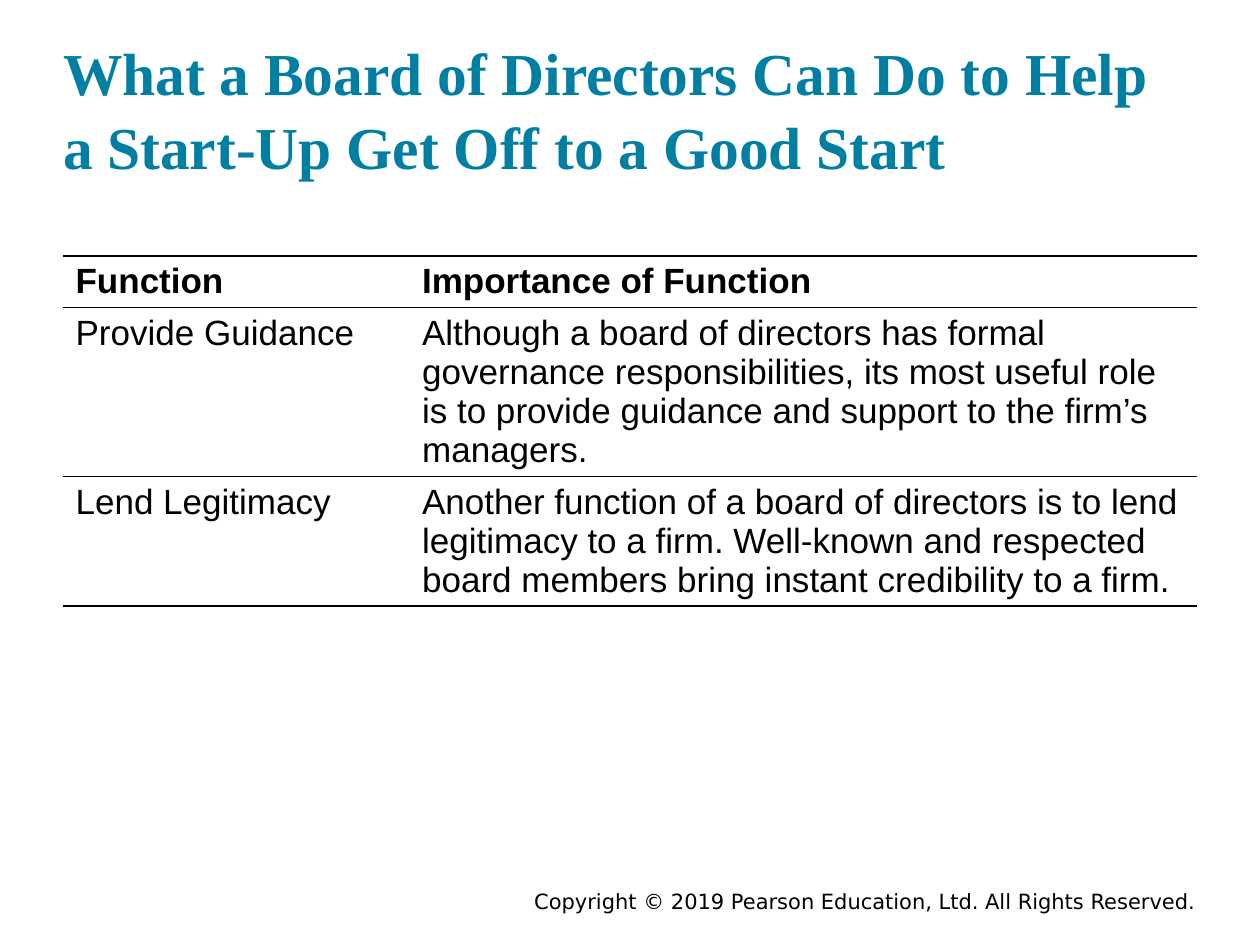
import pptx
import pptx.util
import pptx.dml.color
import pptx.enum.text
import pptx.oxml
import pptx.oxml.ns

Inches = pptx.util.Inches
COLORS = {"title": "007FA3", "text": "000000"}
NO_STYLE = "{2D5ABB26-0587-4C30-8999-92F81FD0307C}"
ROWS = [
    ("Function", "Importance of Function"),
    ("Provide Guidance",
     "Although a board of directors has formal governance responsibilities, "
     "its most useful role is to provide guidance and support to the firm’s managers."),
    ("Lend Legitimacy",
     "Another function of a board of directors is to lend legitimacy to a firm. "
     "Well-known and respected board members bring instant credibility to a firm."),
]
ROW_HEIGHTS = [0.41, 1.34, 1.03]
COLUMN_WIDTHS = [2.75, 6.25]
ROW_RULES = [("lnT", "lnB"), ("lnT",), ("lnB",)]


def style_text(frame, font_name, size, color, bold=False):
    for para in frame.paragraphs:
        for span in para.runs:
            span.font.name = font_name
            span.font.size = pptx.util.Pt(size)
            span.font.bold = bold
            span.font.color.rgb = pptx.dml.color.RGBColor.from_string(COLORS[color])


def add_rule(cell, side):
    rule = pptx.oxml.parse_xml(
        f'<a:{side} {pptx.oxml.ns.nsdecls("a")} w="{pptx.util.Pt(1)}"><a:solidFill>'
        f'<a:srgbClr val="{COLORS["text"]}"/></a:solidFill></a:{side}>')
    cell._tc.get_or_add_tcPr().append(rule)


deck = pptx.Presentation()
deck.slide_width = Inches(10)
deck.slide_height = Inches(7.5)
page = deck.slides.add_slide(deck.slide_layouts[5])

title = page.shapes.title
title.left, title.top = Inches(0.5), Inches(0.24)
title.width, title.height = Inches(9), Inches(1.2)
frame = title.text_frame
frame.text = "What a Board of Directors Can Do to Help\va Start-Up Get Off to a Good Start"
frame.auto_size = pptx.enum.text.MSO_AUTO_SIZE.NONE
frame.vertical_anchor = pptx.enum.text.MSO_ANCHOR.BOTTOM
frame.margin_left = frame.margin_right = frame.margin_top = frame.margin_bottom = 0
frame.paragraphs[0].alignment = pptx.enum.text.PP_ALIGN.LEFT
frame.paragraphs[0].line_spacing = 1.04
style_text(frame, "Times New Roman", 34, "title", bold=True)

table_shape = page.shapes.add_table(
    len(ROWS), len(COLUMN_WIDTHS), Inches(0.5), Inches(2.03),
    Inches(sum(COLUMN_WIDTHS)), Inches(sum(ROW_HEIGHTS)))
table = table_shape.table
table.horz_banding = False
table._tbl.tblPr.find(pptx.oxml.ns.qn("a:tableStyleId")).text = NO_STYLE
for column, width in zip(table.columns, COLUMN_WIDTHS):
    column.width = Inches(width)
for index, (row, height) in enumerate(zip(table.rows, ROW_HEIGHTS)):
    row.height = Inches(height)
    for cell, words in zip(row.cells, ROWS[index]):
        cell.text_frame.text = words
        style_text(cell.text_frame, "Arial", 20, "text", bold=index == 0)
        if index == 0:
            cell.vertical_anchor = pptx.enum.text.MSO_ANCHOR.BOTTOM
        for side in ROW_RULES[index]:
            add_rule(cell, side)
        cell.fill.background()

box = page.shapes.add_textbox(Inches(2.92), Inches(7), Inches(6.67), Inches(0.3))
box.text_frame.word_wrap = True
box.text_frame.text = "Copyright © 2019 Pearson Education, Ltd. All Rights Reserved."
box.text_frame.paragraphs[0].alignment = pptx.enum.text.PP_ALIGN.RIGHT
style_text(box.text_frame, "DejaVu Sans", 12, "text")

deck.save("out.pptx")
